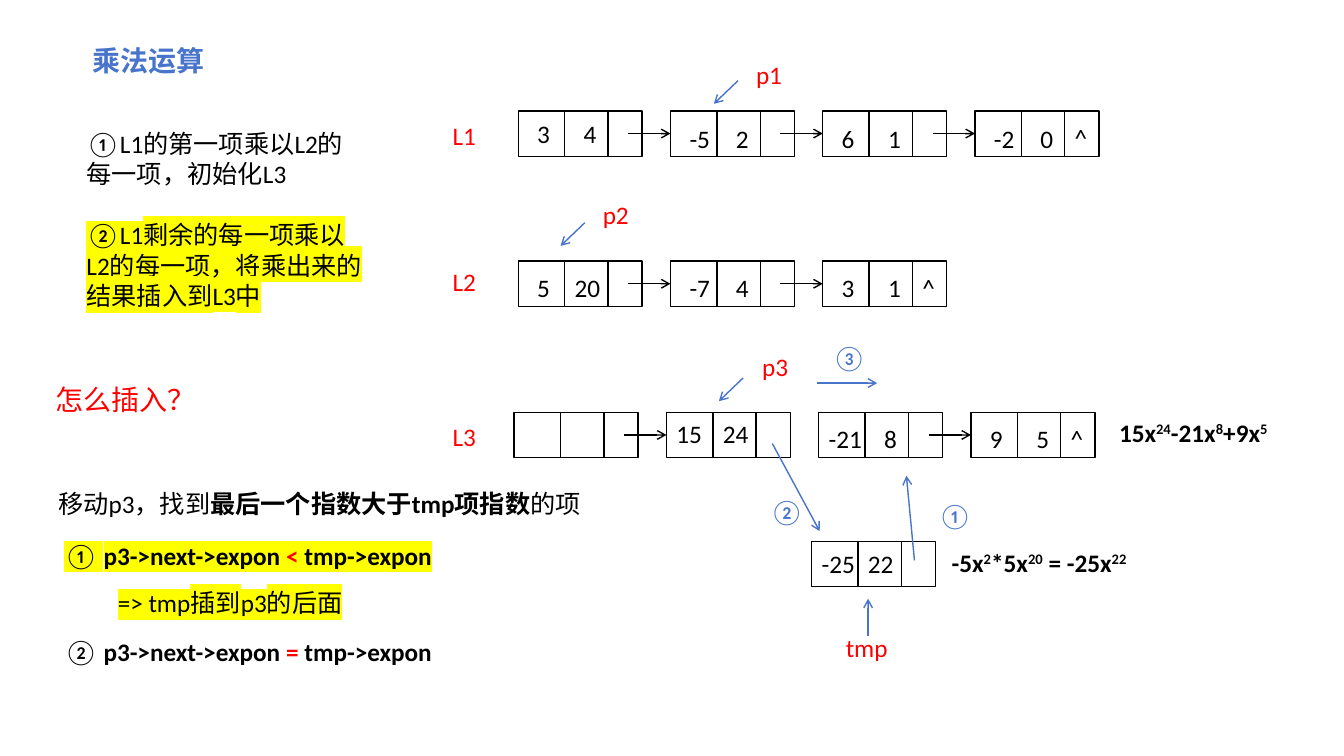
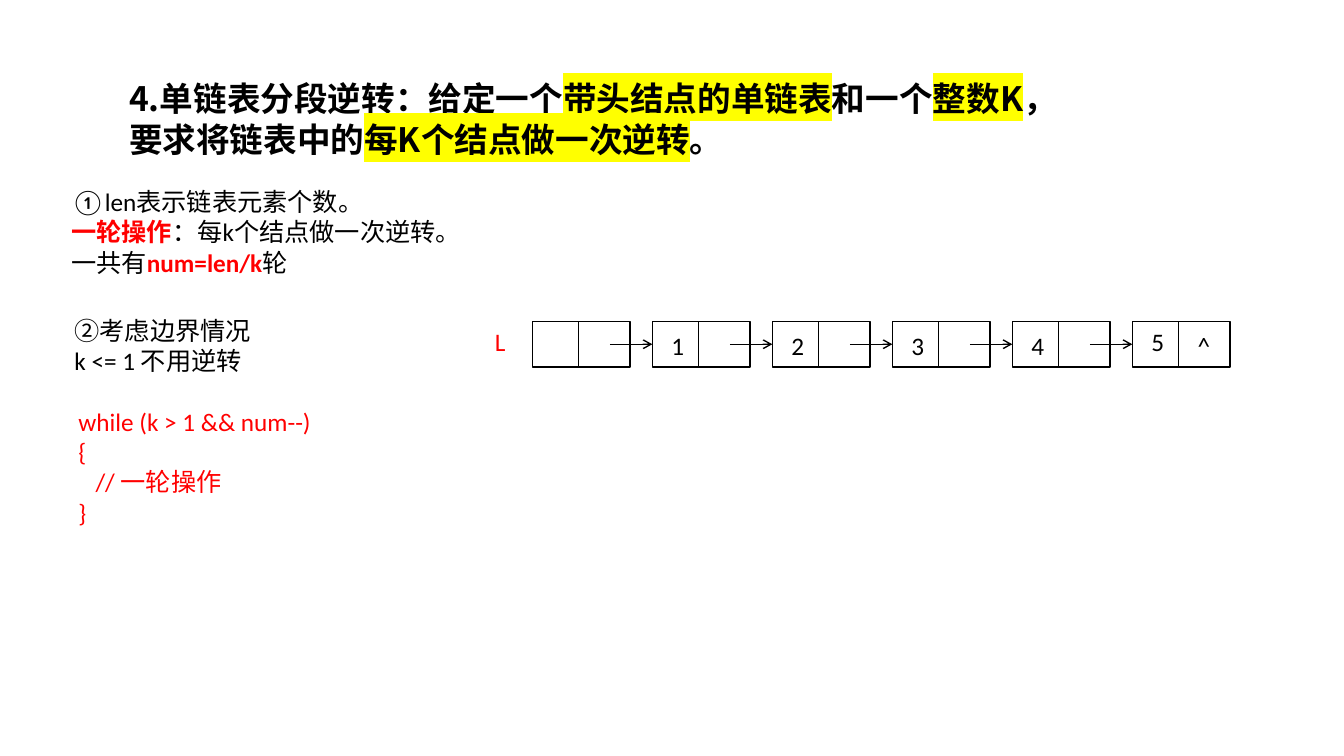
from lxml import etree
from pptx import Presentation
from pptx.dml.color import RGBColor
from pptx.enum.shapes import MSO_CONNECTOR, MSO_SHAPE
from pptx.enum.text import MSO_ANCHOR, MSO_AUTO_SIZE, PP_ALIGN
from pptx.oxml.ns import qn
from pptx.util import Inches, Pt

STRAIGHT = MSO_CONNECTOR.STRAIGHT
RECT = MSO_SHAPE.RECTANGLE
MIDDLE = MSO_ANCHOR.MIDDLE
FIXED = MSO_AUTO_SIZE.NONE
LEFT = PP_ALIGN.LEFT

COLORS = {"black": "000000", "red": "FF0000", "blue": "4874CB", "mark": "FFFF00"}
LATIN = "Calibri"
HAN = "Noto Sans CJK SC"
LEADING = 1.2
HIGH = 0.45
LINK = 0.42

BASE = {"size": Pt(18), "name": LATIN, "bold": False}
RED = {"color": "red"}
BLUE = {"color": "blue"}
BOLD = {"bold": True}
HOT = {**RED, **BOLD}
MARK = {"mark": True}
RAISED = {**BOLD, "raised": True}
HEAD = {"size": Pt(24), "name": HAN, "bold": True}


def paint(color):
    return RGBColor.from_string(COLORS[color])


def add_run(line, text, form):
    run = line.add_run()
    run.text = text
    font = run.font
    for key in BASE:
        setattr(font, key, form.get(key, BASE[key]))
    font.color.rgb = paint(form.get("color", "black"))
    props = font._element
    latin = props.find(qn("a:latin"))
    if form.get("mark"):
        mark = etree.Element(qn("a:highlight"))
        etree.SubElement(mark, qn("a:srgbClr"), val=COLORS["mark"])
        latin.addprevious(mark)
    latin.addnext(etree.Element(qn("a:ea"), typeface=HAN))
    if form.get("raised"):
        props.set("baseline", "30000")


def fill_text(frame, lines, form):
    frame.word_wrap = True
    for index, parts in enumerate(lines):
        line = frame.add_paragraph() if index else frame.paragraphs[0]
        line.alignment = LEFT
        line.line_spacing = Pt(round(form.get("size", BASE["size"]).pt * LEADING, 1))
        for text, extra in parts:
            add_run(line, text, {**form, **extra})


def add_text(slide, place, lines, form=BASE):
    if isinstance(lines, str):
        lines = [[(lines, {})]]
    box = slide.shapes.add_textbox(*map(Inches, place))
    fill_text(box.text_frame, lines, form)


def set_title(slide, place, parts, form):
    title = slide.shapes.title
    title.left, title.top, title.width, title.height = map(Inches, place)
    frame = title.text_frame
    frame.auto_size = FIXED
    frame.vertical_anchor = MIDDLE
    fill_text(frame, [parts], form)


def add_line(slide, start, end, color="black", arrow=False):
    line = slide.shapes.add_connector(STRAIGHT, *map(Inches, (*start, *end)))
    line.line.color.rgb = paint(color)
    line.line.width = Pt(1)
    if arrow:
        etree.SubElement(line.line._get_or_add_ln(), qn("a:tailEnd"), type="arrow")
    etree.SubElement(line._element.spPr, qn("a:effectLst"))
    return line


def add_node(slide, x, y, width, cuts, values, drop, lift):
    rect = slide.shapes.add_shape(RECT, *map(Inches, (x, y, width, HIGH)))
    rect.shadow.inherit = False
    rect.fill.background()
    rect.line.color.rgb = paint("black")
    rect.line.width = Pt(1)
    for cut in cuts:
        add_line(slide, (x + cut, y), (x + cut, y + HIGH))
    for start, value in zip((0, *cuts), values.split()):
        caret = value == "^"
        wide = len(value.strip("-")) > 1 or (caret and len(cuts) > 1)
        left = x + start + (0 if wide else 0.09)
        top = y + (lift if caret else drop)
        add_text(slide, (left, top, 0.28 if len(value) == 1 else 0.58, 0.4), value)
    return rect


def add_chain(slide, x, y, nodes, gaps=(), step=1.51, width=1.23,
              cuts=(0.46, 0.89), lift=0.06):
    for index, (values, drop) in enumerate(nodes):
        left = x + index * step
        rect = add_node(slide, left, y, width, cuts, values, drop, lift)
        if index and index not in gaps:
            mid = y + HIGH / 2
            link = add_line(slide, (left - LINK, mid), (left, mid), arrow=True)
            link.end_connect(rect, 1)


def add_terms(slide, place, terms):
    parts = [(text, RAISED if index % 2 else BOLD) for index, text in enumerate(terms)]
    add_text(slide, place, [parts])


def build_product(slide):
    set_title(slide, (0.82, 0.38, 1.59, 0.44), [("乘法运算", {})],
              {"size": Pt(20), "bold": True, "color": "blue"})
    add_text(slide, (0.76, 1.22, 2.97, 0.71), "①L1的第一项乘以L2的每一项，初始化L3")
    add_text(slide, (0.76, 2.13, 2.97, 1.01),
             "②L1剩余的每一项乘以L2的每一项，将乘出来的结果插入到L3中", MARK)
    add_text(slide, (0.45, 3.75, 1.65, 0.48), "怎么插入？", {**RED, "size": Pt(20)})
    add_text(slide, (0.48, 4.8, 6.46, 0.47), [[
        ("移动p3，找到", {}), ("最后一个指数大于tmp项指数", BOLD), ("的项", {})]])
    add_text(slide, (0.54, 5.31, 4.63, 0.47), [[
        ("① ", {}), ("p3->next->expon ", BOLD), ("<", HOT), (" tmp->expon", BOLD)]], MARK)
    add_text(slide, (1.07, 5.78, 3.56, 0.48), "=> tmp插到p3的后面", MARK)
    add_text(slide, (0.54, 6.26, 4.1, 0.43), [[
        ("② ", {}), ("p3->next->expon ", BOLD), ("= ", HOT), ("tmp->expon", BOLD)]])

    add_chain(slide, 5.14, 1.1, [("3 4", 0.02), ("-5 2", 0.07), ("6 1", 0.07), ("-2 0 ^", 0.07)])
    add_chain(slide, 5.14, 2.59, [("5 20", 0.06), ("-7 4", 0.06), ("3 1 ^", 0.06)])
    add_chain(slide, 5.1, 4.09,
              [("", 0), ("15 24", 0.01), ("-21 8", 0.06), ("9 5 ^", 0.06)], gaps=(2,))
    add_chain(slide, 8.05, 5.37, [("-25 22", 0.02)])

    for name, x, y in (("L1", 4.39, 1.14), ("L2", 4.39, 2.59), ("L3", 4.39, 4.13),
                       ("p1", 7.4, 0.54), ("p2", 5.88, 1.93), ("p3", 7.46, 3.44),
                       ("tmp", 8.29, 6.22)):
        add_text(slide, (x, y, 0.79, 0.4), name, RED)
    for name, x, y in (("①", 9.21, 4.91), ("②", 7.54, 4.87), ("③", 8.16, 3.35)):
        add_text(slide, (x, y, 0.5, 0.4), name, BLUE)
    for start, end in (((7.32, 0.8), (7.08, 1.03)), ((5.8, 2.21), (5.56, 2.44)),
                       ((7.37, 3.75), (7.13, 3.98)), ((9.07, 5.56), (8.99, 4.72)),
                       ((7.66, 4.4), (8.13, 5.27)), ((8.61, 6.31), (8.61, 5.94)),
                       ((8.1, 3.8), (8.7, 3.8))):
        add_line(slide, start, end, "blue", True)

    add_terms(slide, (11, 4.09, 2.19, 0.52), ("15x", "24", "-21x", "8", "+9x", "5"))
    add_terms(slide, (9.34, 5.38, 2.08, 0.51), ("-5x", "2", "*5x", "20", " = -25x", "22"))


def build_reverse(slide):
    set_title(slide, (1.18, 0.66, 9.66, 1.03), [
        ("4.单链表分段逆转：给定一个", {}), ("带头结点的单链表", MARK), ("和一个", {}),
        ("整数K", MARK), ("，要求将链表中的", {}), ("每K个结点做一次逆转", MARK),
        ("。", {})], HEAD)
    add_text(slide, (0.61, 1.8, 4, 1.16), [
        [("①len表示链表元素个数。", {})],
        [("一轮操作", HOT), ("：每k个结点做一次逆转。", {})],
        [("一共有", {}), ("num=len/k", HOT), ("轮", {})]])
    add_text(slide, (0.64, 3.08, 3.14, 0.78), [
        [("②考虑边界情况", {})], [("k <= 1 不用逆转", {})]])
    code = ("while (k > 1 && num--)", "{", "   // 一轮操作", "}")
    add_text(slide, (0.68, 3.98, 4.42, 1.32), [[(text, {})] for text in code], RED)
    add_text(slide, (4.81, 3.19, 0.53, 0.4), "L", RED)
    nodes = [("", 0), *((str(value), 0.04) for value in range(1, 5)), ("5 ^", 0)]
    add_chain(slide, 5.28, 3.19, nodes, step=1.19, width=0.97, cuts=(0.46,), lift=0.04)


def main():
    deck = Presentation()
    deck.slide_width = Inches(13.33)
    deck.slide_height = Inches(7.5)
    for build in (build_product, build_reverse):
        build(deck.slides.add_slide(deck.slide_layouts[5]))
    deck.save("out.pptx")


if __name__ == "__main__":
    main()
